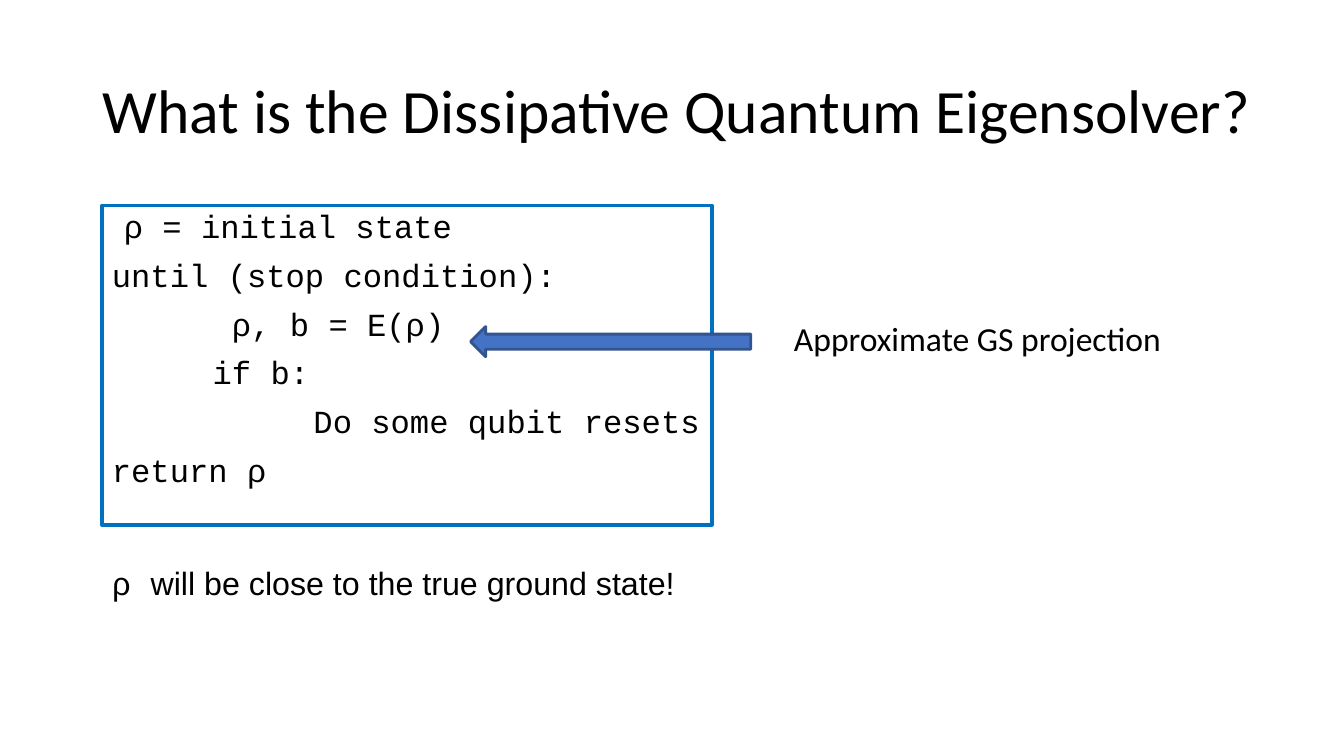
from dataclasses import dataclass

from lxml import etree
from pptx import Presentation
from pptx.dml.color import RGBColor
from pptx.enum.shapes import MSO_SHAPE
from pptx.enum.text import MSO_ANCHOR, MSO_AUTO_SIZE, PP_ALIGN
from pptx.oxml.ns import qn
from pptx.util import Cm, Pt

RECTANGLE, LEFT_ARROW = MSO_SHAPE.RECTANGLE, MSO_SHAPE.LEFT_ARROW
TOP, MIDDLE = MSO_ANCHOR.TOP, MSO_ANCHOR.MIDDLE
LEFT = PP_ALIGN.LEFT
NO_FIT = MSO_AUTO_SIZE.NONE


@dataclass(frozen=True)
class Theme:
    text: str = "000000"
    frame: str = "0070C0"
    arrow: str = "4472C4"
    arrow_edge: str = "325491"
    heading_font: str = "Calibri"
    body_font: str = "Arial"
    code_font: str = "Courier New"
    title_size: int = 44
    label_size: int = 24
    body_size: int = 23
    tab_cm: float = 2.54


CODE = [
    "ρ = initial state",
    "until (stop condition):",
    "\t ρ, b = E(ρ)",
    "\tif b:",
    "\t\tDo some qubit resets",
    "return ρ",
]


class SlideBuilder:
    def __init__(self, prs, theme):
        self.theme = theme
        self.slide = prs.slides.add_slide(prs.slide_layouts[5])

    def set_frame(self, tf, anchor=TOP, inset_y=0.13):
        settings = {
            "word_wrap": True, "auto_size": NO_FIT, "vertical_anchor": anchor,
            "margin_left": Cm(0.25), "margin_right": Cm(0.25),
            "margin_top": Cm(inset_y), "margin_bottom": Cm(inset_y),
        }
        for name, value in settings.items():
            setattr(tf, name, value)

    def add_runs(self, p, runs, size, spacing=0.9):
        """Fill a paragraph with (text, font name) runs."""
        p.alignment, p.line_spacing = LEFT, spacing
        for text, font in runs:
            r = p.add_run()
            r.text = text
            for name, value in {"name": font, "size": Pt(size)}.items():
                setattr(r.font, name, value)
            r.font.color.rgb = RGBColor.from_string(self.theme.text)

    def title(self, text, box):
        sp = self.slide.shapes.title
        sp.left, sp.top, sp.width, sp.height = map(Cm, box)
        self.set_frame(sp.text_frame, MIDDLE)
        self.add_runs(sp.text_frame.paragraphs[0],
                      [(text, self.theme.heading_font)], self.theme.title_size)

    def text(self, runs, box, size, spacing=0.9, inset_y=0.13):
        tf = self.slide.shapes.add_textbox(*map(Cm, box)).text_frame
        self.set_frame(tf, inset_y=inset_y)
        self.add_runs(tf.paragraphs[0], runs, size, spacing)

    def shape(self, kind, box, line, width, fill=None):
        sp = self.slide.shapes.add_shape(kind, *map(Cm, box))
        sp.shadow.inherit = False
        sp.line.color.rgb = RGBColor.from_string(line)
        sp.line.width = Pt(width)
        if fill:
            sp.fill.solid()
            sp.fill.fore_color.rgb = RGBColor.from_string(fill)
        else:
            sp.fill.background()
        return sp

    def add_tabs(self, p, count):
        tabs = etree.SubElement(p._p.get_or_add_pPr(), qn("a:tabLst"))
        for n in range(1, count + 1):
            etree.SubElement(tabs, qn("a:tab"),
                             pos=str(Cm(n * self.theme.tab_cm)), algn="l")

    def code(self, lines, box):
        tf = self.shape(RECTANGLE, box, self.theme.frame, 2.5).text_frame
        self.set_frame(tf)
        for i, line in enumerate(lines):
            p = tf.add_paragraph() if i else tf.paragraphs[0]
            self.add_tabs(p, 2)
            if i:
                p.space_before = Pt(10)
            else:
                p._p.get_or_add_pPr().set("marL", str(Cm(0.3)))
            self.add_runs(p, [(line, self.theme.code_font)], self.theme.body_size)


def main():
    prs = Presentation()
    prs.slide_width, prs.slide_height = Cm(33.87), Cm(19.05)
    theme = Theme()
    s = SlideBuilder(prs, theme)
    s.title("What is the Dissipative Quantum Eigensolver?", (2.34, 1.02, 30.23, 3.68))
    s.code(CODE, (2.57, 5.18, 15.37, 8.05))
    s.text([("ρ ", theme.code_font),
            ("will be close to the true ground state!", theme.body_font)],
           (2.57, 14.05, 22.83, 1.75), theme.body_size, inset_y=0.25)
    s.text([("Approximate GS projection", theme.heading_font)],
           (19.76, 7.87, 10.44, 1.27), theme.label_size, spacing=1.0)
    s.shape(LEFT_ARROW, (11.86, 8.23, 7.06, 0.76), theme.arrow_edge, 2, theme.arrow)
    prs.save("out.pptx")


if __name__ == "__main__":
    main()
